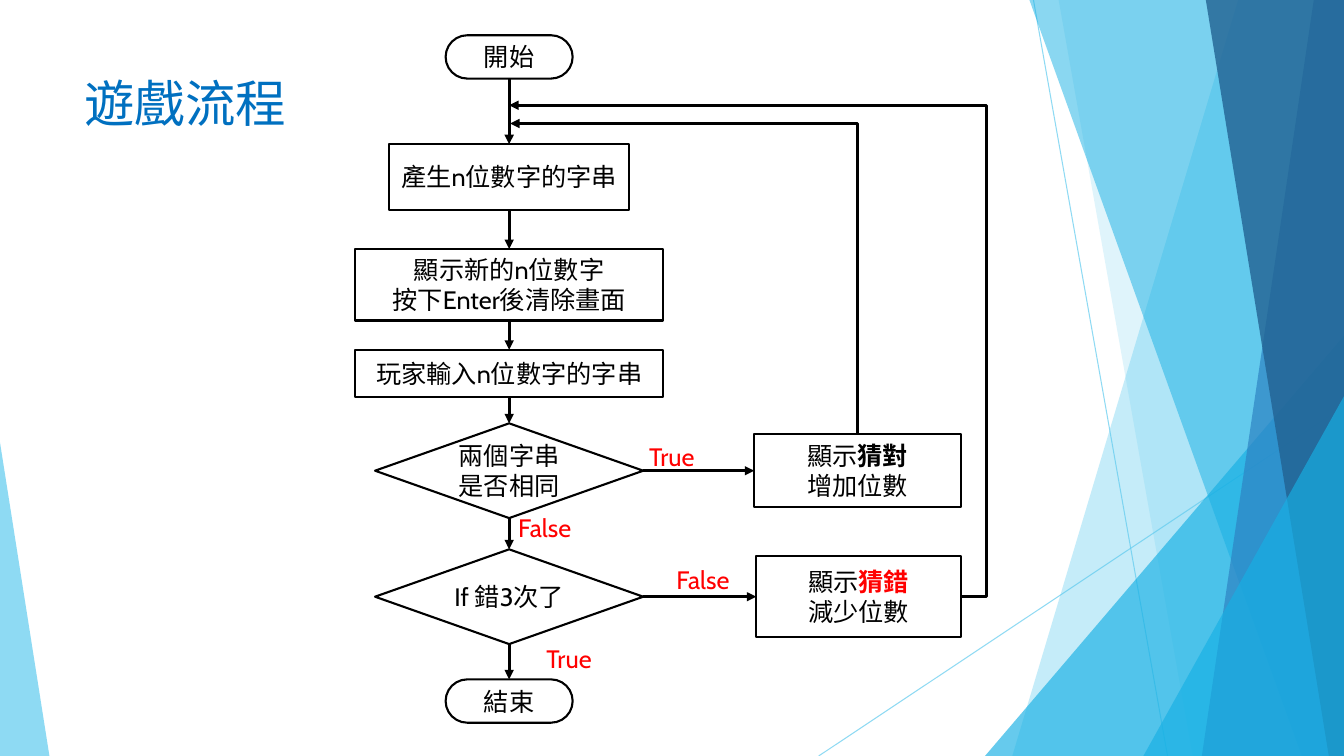
"""Build the game flow slide: a flowchart over a faceted blue background."""
from lxml import etree
from pptx import Presentation
from pptx.dml.color import RGBColor
from pptx.enum.shapes import MSO_CONNECTOR, MSO_SHAPE
from pptx.enum.text import MSO_ANCHOR, MSO_AUTO_SIZE, PP_ALIGN
from pptx.oxml.ns import qn
from pptx.util import Pt

PX = 9144
WIDTH, HEIGHT = 1333, 750
AXIS = 505
FONT = "Cabin"
TOP, LEFT, BOTTOM, RIGHT = range(4)
STRAIGHT, ELBOW = MSO_CONNECTOR.STRAIGHT, MSO_CONNECTOR.ELBOW
RECT, DIAMOND = MSO_SHAPE.RECTANGLE, MSO_SHAPE.DIAMOND
PILL, TRIANGLE = MSO_SHAPE.ROUNDED_RECTANGLE, MSO_SHAPE.ISOSCELES_TRIANGLE
COLORS = {
    "sky": "5FCBEF", "cyan": "17B0E4", "blue": "2E83C3", "navy": "226292",
    "title": "0070C0", "ink": "000000", "paper": "FFFFFF", "alert": "FF0000",
}
RGB = {name: RGBColor.from_string(value) for name, value in COLORS.items()}

prs = Presentation()
prs.slide_width, prs.slide_height = WIDTH * PX, HEIGHT * PX
slide = prs.slides.add_slide(prs.slide_layouts[6])
shapes = slide.shapes


def set_opacity(shape, percent):
    for color in shape._element.iter(qn("a:srgbClr")):
        etree.SubElement(color, qn("a:alpha")).set("val", str(percent * 1000))


def add_line(kind, points, color, width, arrow=None):
    line = shapes.add_connector(kind, *(value * PX for value in points))
    line.line.color.rgb = RGB[color]
    line.line.width = Pt(width)
    properties = line._element.spPr
    if arrow:
        etree.SubElement(properties.find(qn("a:ln")), qn(arrow)).set("type", "triangle")
    etree.SubElement(properties, qn("a:effectLst"))
    return line


for ray in [(1025, 0, 1158, HEIGHT), (WIDTH, 403, 812, HEIGHT)]:
    set_opacity(add_line(STRAIGHT, ray, "sky", 0.75), 70)

facets = [
    ("band", 1228, 1004, "sky", 36),
    ("band", 1050, 1183, "sky", 20),
    ("corner", (977, 333, 356, 417), 1, "cyan", 66),
    ("band", 1021, 1291, "cyan", 50),
    ("band", 1303, 1192, "blue", 70),
    ("band", 1196, 1318, "navy", 80),
    ("corner", (1134, 393, 199, 357), 1, "cyan", 66),
    ("corner", (0, 439, 49, 311), 0, "sky", 70),
]
for kind, start, end, color, opacity in facets:
    if kind == "band":
        outline = shapes.build_freeform(start, 0, scale=PX)
        outline.add_line_segments([(WIDTH, 0), (WIDTH, HEIGHT), (end, HEIGHT)])
        facet = outline.convert_to_shape()
    else:
        facet = shapes.add_shape(TRIANGLE, *(value * PX for value in start))
        facet.adjustments[0] = end
    facet.shadow.inherit = False
    facet.fill.solid()
    facet.fill.fore_color.rgb = RGB[color]
    facet.line.fill.background()
    set_opacity(facet, opacity)

boxes = [
    ("merge_right", RECT, 467, 104, 39, 37, "", "paper"),
    ("merge_wrong", RECT, 466, 86, 39, 37, "", "paper"),
    ("start", PILL, AXIS - 63, 35, 126, 43, "開始", "ink"),
    ("generate", RECT, AXIS - 119, 143, 238, 65, "產生n位數字的字串", "ink"),
    ("show", RECT, AXIS - 153, 247, 306, 71, "顯示新的n位數字\n按下Enter後清除畫面", "ink"),
    ("answer", RECT, AXIS - 153, 347, 306, 47, "玩家輸入n位數字的字串", "ink"),
    ("same", DIAMOND, AXIS - 133, 420, 266, 94, "兩個字串是否相同", "ink"),
    ("misses", DIAMOND, AXIS - 133, 545, 266, 94, "If 錯3次了", "ink"),
    ("end", PILL, AXIS - 63, 674, 126, 43, "結束", "ink"),
    ("right", RECT, 748, 431, 205, 72, "顯示\n增加位數", "ink"),
    ("wrong", RECT, 750, 552, 203, 80, "顯示\n減少位數", "ink"),
]
verdicts = {"right": ("猜對", "ink"), "wrong": ("猜錯", "alert")}
steps = {}
for key, kind, left, top, width, height, text, border in boxes:
    step = shapes.add_shape(kind, left * PX, top * PX, width * PX, height * PX)
    step.shadow.inherit = False
    step.fill.solid()
    step.fill.fore_color.rgb = RGB["paper"]
    step.line.color.rgb = RGB[border]
    step.line.width = Pt(1.5)
    if kind == PILL:
        step.adjustments[0] = 0.5
    frame = step.text_frame
    frame.word_wrap = True
    frame.vertical_anchor = MSO_ANCHOR.MIDDLE
    frame.text = text
    for paragraph in frame.paragraphs:
        paragraph.alignment = PP_ALIGN.CENTER
        for run in paragraph.runs:
            run.font.name, run.font.size = FONT, Pt(18)
            run.font.color.rgb = RGB["ink"]
    if key in verdicts:
        verdict, color = verdicts[key]
        run = frame.paragraphs[0].add_run()
        run.text = verdict
        run.font.name, run.font.size, run.font.bold = FONT, Pt(18), True
        run.font.color.rgb = RGB[color]
    steps[key] = step

main_flow = ["start", "generate", "show", "answer", "same", "misses", "end"]
links = [(a, BOTTOM, b, TOP) for a, b in zip(main_flow, main_flow[1:])]
links += [("same", RIGHT, "right", LEFT), ("misses", RIGHT, "wrong", LEFT)]
for source, source_side, target, target_side in links:
    arrow = add_line(STRAIGHT, (0, 0, 0, 0), "ink", 2.25, "a:tailEnd")
    arrow.begin_connect(steps[source], source_side)
    arrow.end_connect(steps[target], target_side)

wrong_loop = add_line(ELBOW, (953, 592, 505, 105), "ink", 2.25, "a:tailEnd")
wrong_loop.begin_connect(steps["wrong"], RIGHT)
wrong_loop.end_connect(steps["merge_wrong"], RIGHT)
bend = etree.SubElement(next(wrong_loop._element.iter(qn("a:avLst"))), qn("a:gd"))
bend.set("name", "adj1")
bend.set("fmla", "val -5600")

right_loop = add_line(ELBOW, (506, 123, 850, 431), "ink", 2.25, "a:headEnd")
right_loop.begin_connect(steps["merge_right"], RIGHT)
right_loop.end_connect(steps["right"], TOP)
next(right_loop._element.iter(qn("a:prstGeom"))).set("prst", "bentConnector2")

captions = [
    ("遊戲流程", 74, 67, 940, 144, 36, "title"),
    ("True", 634, 433, 70, 40, 18, "alert"),
    ("False", 504, 503, 78, 40, 18, "alert"),
    ("False", 661, 555, 78, 40, 18, "alert"),
    ("True", 532, 633, 70, 40, 18, "alert"),
]
for text, left, top, width, height, size, color in captions:
    caption = shapes.add_textbox(left * PX, top * PX, width * PX, height * PX)
    frame = caption.text_frame
    frame.word_wrap = color == "title"
    if color == "alert":
        frame.auto_size = MSO_AUTO_SIZE.SHAPE_TO_FIT_TEXT
    frame.text = text
    font = frame.paragraphs[0].runs[0].font
    font.name, font.size = FONT, Pt(size)
    font.color.rgb = RGB[color]

prs.save("out.pptx")
